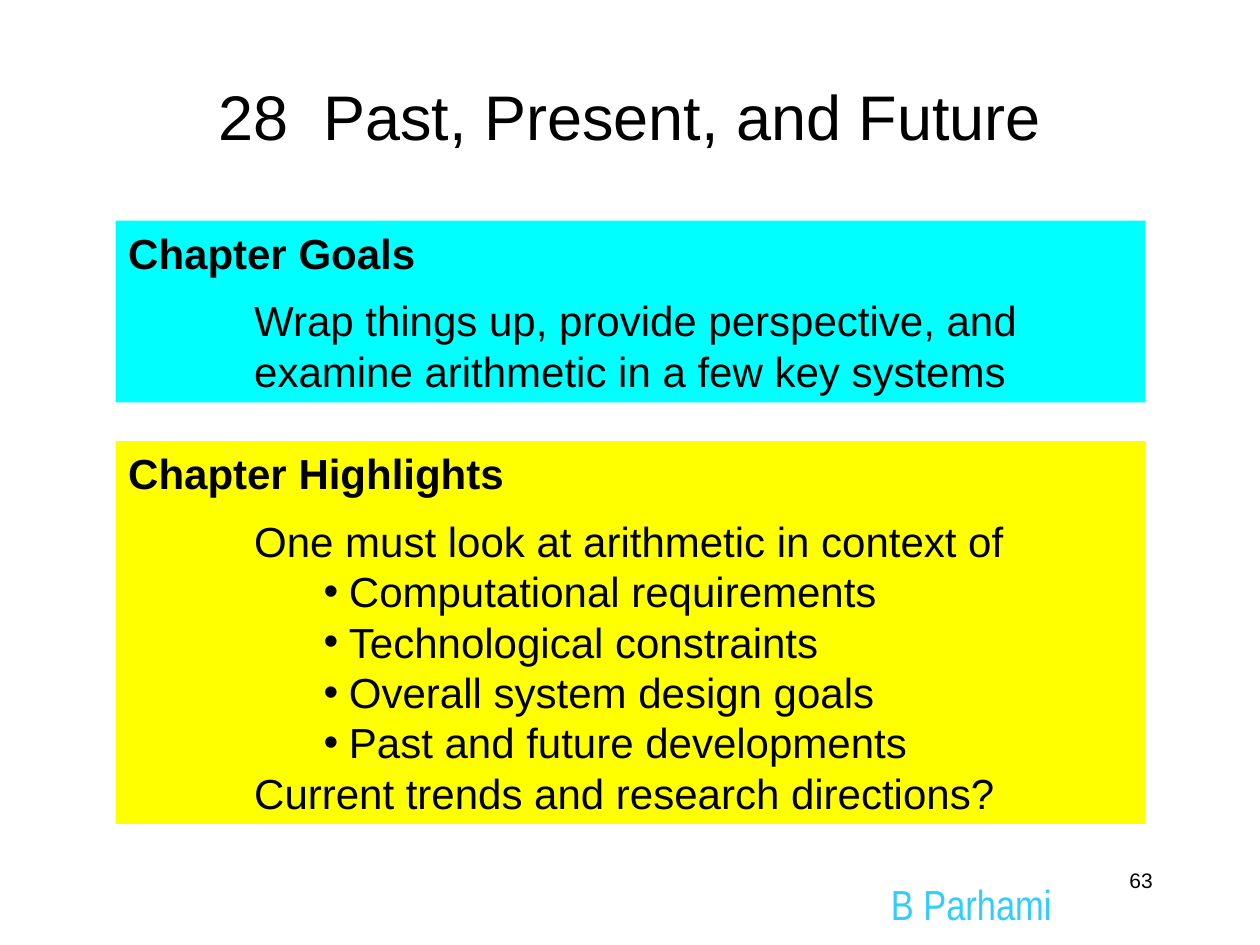
from pptx import Presentation, util as u
from pptx.dml.color import RGBColor
from pptx.enum import text
from pptx.oxml.ns import qn
from lxml import etree

HUES = {"ink": "000000", "goals": "00FFFF", "points": "FFFF00", "name": "33CCFF"}
LEFT, MID, RIGHT = text.PP_ALIGN.LEFT, text.PP_ALIGN.CENTER, text.PP_ALIGN.RIGHT
GOALS = [("plain", "Wrap things up, provide perspective, and examine arithmetic in a few key systems")]
POINTS = [
    ("plain", "One must look at arithmetic in context of"),
    ("list", "Computational requirements"),
    ("list", "Technological constraints"),
    ("list", "Overall system design goals"),
    ("list", "Past and future developments"),
    ("plain", "Current trends and research directions?"),
]
INSETS = {"head": (0, 0), "plain": (2.54, 0), "list": (4.45, -0.51)}


def place(shape, box):
    shape.left, shape.top, shape.width, shape.height = (u.Cm(n) for n in box)


def style(para, size, hue="ink", face="Arial", bold=False, align=LEFT):
    para.alignment = align
    font = para.font
    font.size, font.name, font.bold = u.Pt(size), face, bold
    font.color.rgb = RGBColor.from_string(HUES[hue])


def indent(para, kind):
    props = para._p.get_or_add_pPr()
    left, hang = INSETS[kind]
    props.set("marL", str(u.Cm(left)))
    props.set("indent", str(u.Cm(hang)))
    if kind == "list":
        etree.SubElement(props, qn("a:buFont")).set("typeface", "Arial")
        etree.SubElement(props, qn("a:buChar")).set("char", "•")
    else:
        etree.SubElement(props, qn("a:buNone"))


def title(shape, box, words):
    place(shape, box)
    frame = shape.text_frame
    frame.text = words
    frame.vertical_anchor = text.MSO_ANCHOR.MIDDLE
    style(frame.paragraphs[0], 36, align=MID)


def panel(shape, box, hue, head, lines):
    place(shape, box)
    shape.fill.solid()
    shape.fill.fore_color.rgb = RGBColor.from_string(HUES[hue])
    frame = shape.text_frame
    frame.auto_size = text.MSO_AUTO_SIZE.NONE
    frame.vertical_anchor = text.MSO_ANCHOR.TOP
    for i, (kind, words) in enumerate([("head", head)] + lines):
        para = frame.paragraphs[0] if i == 0 else frame.add_paragraph()
        para.text = words
        indent(para, kind)
        para.line_spacing = u.Pt(28.8)
        para.space_before = u.Pt(10 if i == 1 else 0)
        style(para, 24, bold=kind == "head")


def label(slide, box, words, **look):
    shape = slide.shapes.add_textbox(*(u.Cm(n) for n in box))
    frame = shape.text_frame
    frame.word_wrap = True
    frame.text = words
    style(frame.paragraphs[0], **look)


def main():
    deck = Presentation()
    deck.slide_width, deck.slide_height = u.Cm(25.4), u.Cm(19.05)
    slide = deck.slides.add_slide(deck.slide_layouts[3])
    head, goals, points = slide.placeholders
    label(slide, (17.55, 17.58, 4.06, 1.06), "B Parhami",
          size=24, hue="name", face="Arial Narrow", align=MID)
    title(head, (1.06, 1.06, 23.28, 2.54), "28  Past, Present, and Future")
    panel(goals, (2.33, 4.45, 20.75, 3.66), "goals", "Chapter Goals", GOALS)
    panel(points, (2.33, 8.89, 20.75, 7.72), "points", "Chapter Highlights", POINTS)
    label(slide, (18.2, 17.36, 5.29, 1.27), "63", size=12, align=RIGHT)
    deck.save("out.pptx")


if __name__ == "__main__":
    main()
